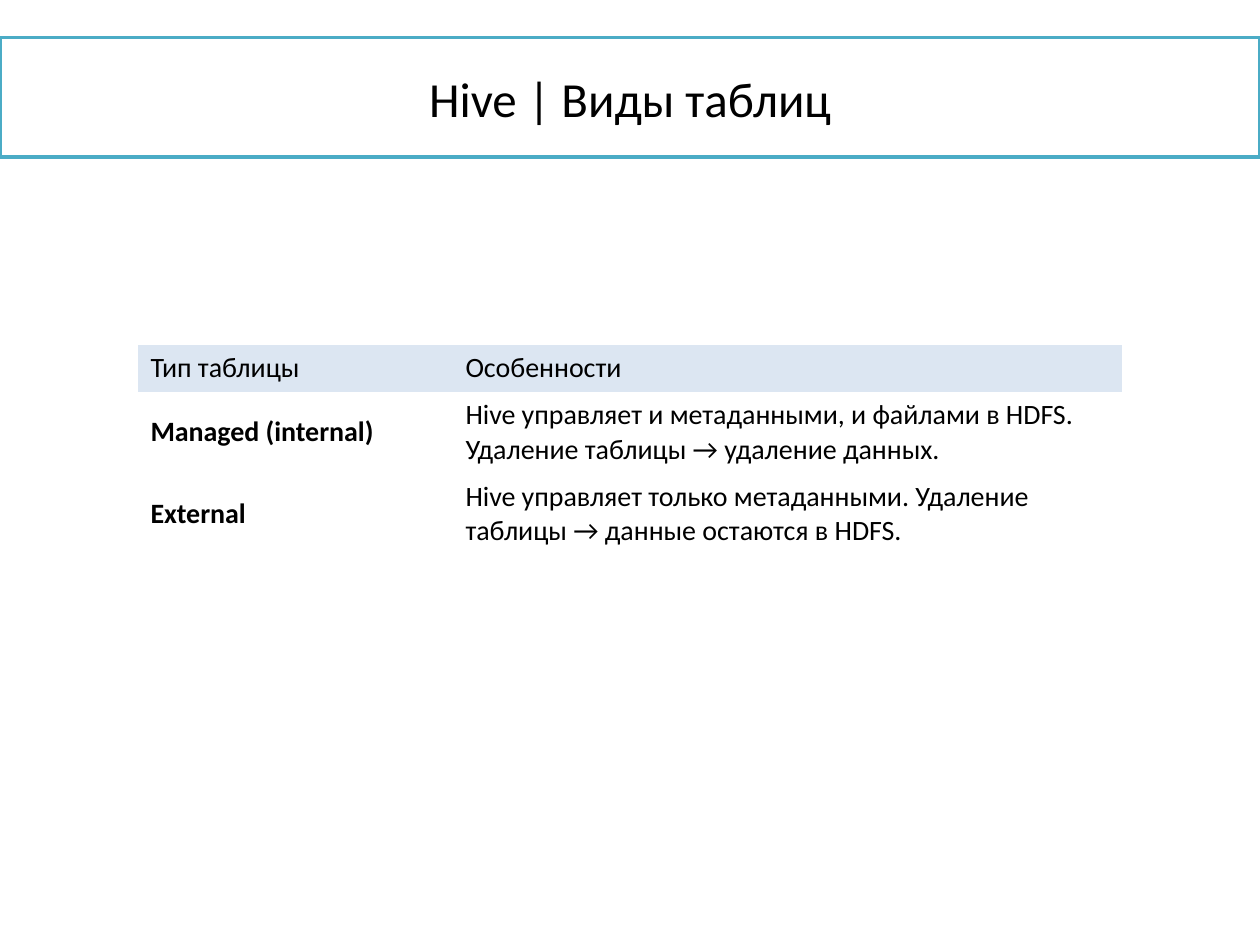
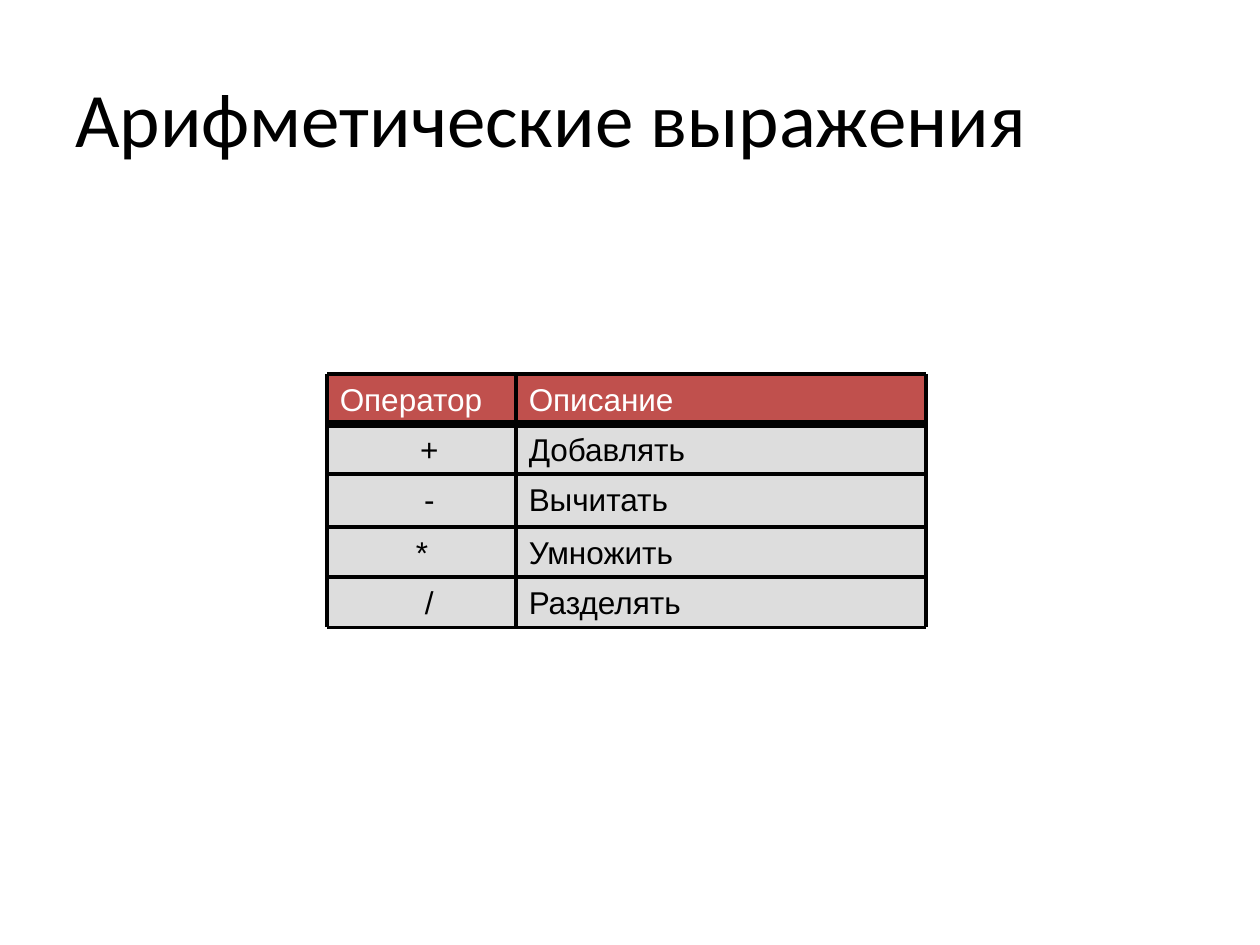
"""Build two slides: the kinds of Hive tables and the arithmetic operators."""
from dataclasses import dataclass
from itertools import accumulate, pairwise

from lxml import etree
from pptx import Presentation
from pptx.dml.color import RGBColor
from pptx.enum.shapes import MSO_CONNECTOR, MSO_SHAPE
from pptx.enum.text import MSO_ANCHOR, PP_ALIGN
from pptx.oxml.ns import qn
from pptx.util import Cm, Pt

RECTANGLE = MSO_SHAPE.RECTANGLE
STRAIGHT = MSO_CONNECTOR.STRAIGHT
LEFT, CENTER = PP_ALIGN.LEFT, PP_ALIGN.CENTER
TOP, MIDDLE = MSO_ANCHOR.TOP, MSO_ANCHOR.MIDDLE
PLAIN_TABLE_STYLE = "{2D5ABB26-0587-4C30-8999-92F81FD0307C}"


@dataclass(frozen=True)
class Theme:
    """Colours, fonts, type sizes and line widths of the deck."""
    black: str = "000000"
    white: str = "FFFFFF"
    teal: str = "4BACC6"
    pale_blue: str = "DCE6F2"
    red: str = "C0504D"
    grey: str = "DDDDDD"
    main_font: str = "Calibri"
    grid_font: str = "Arial"
    title_size: float = 44
    band_size: float = 28
    grid_size: float = 18
    table_size: float = 16
    band_line: float = 2
    grid_line: float = 2.25
    header_line: float = 4.5


THEME = Theme()


def write(frame, text, *, size, font=THEME.main_font, color=THEME.black,
          bold=False, align=LEFT, indent=0):
    """Write one formatted paragraph into a text frame."""
    para = frame.paragraphs[0]
    para.alignment = align
    if indent:
        para.level = 1
        properties = para._p.get_or_add_pPr()
        properties.set("marL", str(Cm(indent)))
        properties.set("indent", "0")
    span = para.add_run()
    span.text = text
    span.font.name = font
    span.font.size = Pt(size)
    span.font.bold = bold
    span.font.color.rgb = RGBColor.from_string(color)


class Painter:
    """Draw themed elements on the current slide."""

    def __init__(self, deck, theme):
        """Keep the deck and its theme."""
        self.deck = deck
        self.theme = theme
        self.page = None

    def new_page(self):
        """Start a blank slide."""
        self.page = self.deck.slides.add_slide(self.deck.slide_layouts[6])

    def title(self, text, left, top, width, height):
        """Add a large left-aligned title."""
        box = self.page.shapes.add_textbox(*map(Cm, (left, top, width, height)))
        box.text_frame.word_wrap = True
        box.text_frame.vertical_anchor = MIDDLE
        write(box.text_frame, text, size=self.theme.title_size)

    def rectangle(self, text, left, top, width, height, *, fill, line=None,
                  anchor=TOP, **style):
        """Add a filled rectangle with text."""
        box = self.page.shapes.add_shape(
            RECTANGLE, *map(Cm, (left, top, width, height)))
        box.shadow.inherit = False
        box.fill.solid()
        box.fill.fore_color.rgb = RGBColor.from_string(fill)
        if line:
            box.line.color.rgb = RGBColor.from_string(line)
            box.line.width = Pt(self.theme.band_line)
        else:
            box.line.fill.background()
        box.text_frame.word_wrap = True
        box.text_frame.vertical_anchor = anchor
        write(box.text_frame, text, **style)

    def rule(self, start_x, start_y, end_x, end_y, width):
        """Add a straight black line."""
        line = self.page.shapes.add_connector(
            STRAIGHT, *map(Cm, (start_x, start_y, end_x, end_y)))
        line.line.color.rgb = RGBColor.from_string(self.theme.black)
        line.line.width = Pt(width)
        etree.SubElement(line.element.spPr, qn("a:effectLst"))

    def table(self, rows, left, top, widths, heights):
        """Add a borderless table with a tinted header and bold row names."""
        frame = self.page.shapes.add_table(
            len(rows), len(widths),
            *map(Cm, (left, top, sum(widths), sum(heights))))
        frame.element.find(".//" + qn("a:tableStyleId")).text = PLAIN_TABLE_STYLE
        table = frame.table
        table.first_row = table.horz_banding = False
        for column, width in zip(table.columns, widths):
            column.width = Cm(width)
        for row_index, (texts, height) in enumerate(zip(rows, heights)):
            table.rows[row_index].height = Cm(height)
            for column_index, text in enumerate(texts):
                cell = table.cell(row_index, column_index)
                cell.vertical_anchor = MIDDLE
                if row_index == 0:
                    cell.fill.solid()
                    cell.fill.fore_color.rgb = RGBColor.from_string(
                        self.theme.pale_blue)
                else:
                    cell.fill.background()
                write(cell.text_frame, text, size=self.theme.table_size,
                      bold=row_index > 0 and column_index == 0)

    def grid(self, rows, left, top, widths, heights):
        """Add a ruled grid of rectangles with a coloured header row."""
        theme = self.theme
        xs = list(accumulate(widths, initial=left))
        ys = list(accumulate(heights, initial=top))
        for row_index, (texts, y, height) in enumerate(zip(rows, ys, heights)):
            header = row_index == 0
            for column_index, text in enumerate(texts):
                operator = not header and column_index == 0
                self.rectangle(
                    text, xs[column_index], y, widths[column_index], height,
                    fill=theme.red if header else theme.grey,
                    color=theme.white if header else theme.black,
                    size=theme.grid_size, font=theme.grid_font,
                    align=CENTER if operator else LEFT,
                    indent=0.3 if operator and text != "*" else 0)
        for index, y in enumerate(ys):
            self.rule(xs[0], y, xs[-1], y,
                      theme.header_line if index == 1 else theme.grid_line)
        for x in xs[1:-1]:
            self.rule(x, ys[0], x, ys[-1], theme.grid_line)
        for x in (xs[0], xs[-1]):
            for start, end in pairwise((ys[0], ys[1], ys[-1])):
                self.rule(x, start, x, end, theme.grid_line)


def draw_table_kinds(painter):
    """Draw the slide on managed and external tables."""
    theme = painter.theme
    painter.new_page()
    painter.rectangle("Hive | Виды таблиц", 0, 0.76, 25.4, 2.41,
                      fill=theme.white, line=theme.teal, anchor=MIDDLE,
                      size=theme.band_size, align=CENTER)
    painter.table([
        ("Тип таблицы", "Особенности"),
        ("Managed (internal)", "Hive управляет и метаданными, и файлами в HDFS. "
                               "Удаление таблицы → удаление данных."),
        ("External", "Hive управляет только метаданными. "
                     "Удаление таблицы → данные остаются в HDFS."),
    ], 2.78, 6.95, (6.35, 13.49), (0.93, 1.64, 1.64))


def draw_arithmetic(painter):
    """Draw the slide on arithmetic operators."""
    painter.new_page()
    painter.title("Арифметические выражения", 1.27, 0.76, 22.86, 3.18)
    painter.grid([
        ("Оператор", "Описание"),
        ("+", "Добавлять"),
        ("-", "Вычитать"),
        ("*", "Умножить"),
        ("/", "Разделять"),
    ], 6.6, 7.54, (3.81, 8.26), (1, 1.02, 1.06, 1.01, 1.02))


def main():
    """Build and save the deck."""
    deck = Presentation()
    deck.slide_width, deck.slide_height = Cm(25.4), Cm(19.05)
    painter = Painter(deck, THEME)
    draw_table_kinds(painter)
    draw_arithmetic(painter)
    deck.save("out.pptx")


if __name__ == "__main__":
    main()
